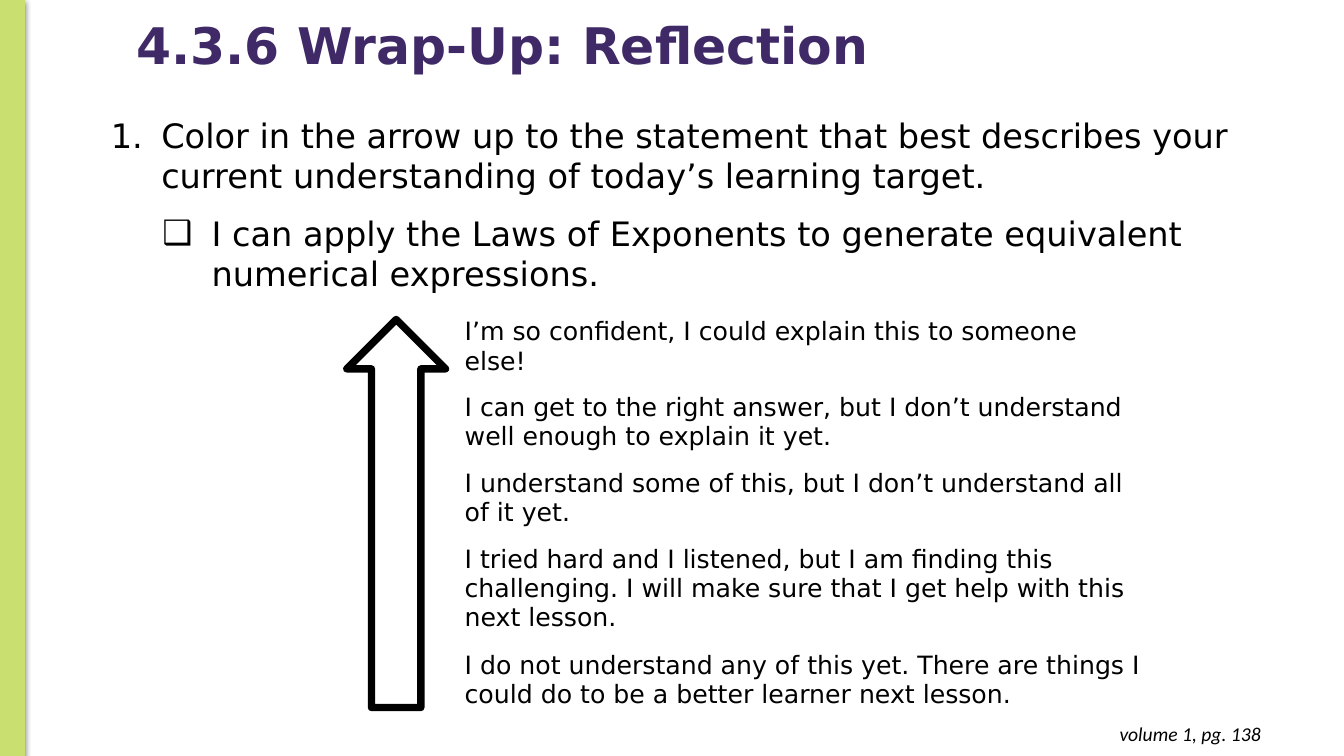
from dataclasses import dataclass

from lxml import etree
from pptx import Presentation
from pptx.dml.color import RGBColor
from pptx.enum.shapes import MSO_SHAPE
from pptx.enum.text import MSO_ANCHOR, MSO_AUTO_SIZE, PP_ALIGN
from pptx.oxml import parse_xml
from pptx.oxml.ns import nsdecls, qn
from pptx.util import Cm, Pt

RECT, ARROW = MSO_SHAPE.RECTANGLE, MSO_SHAPE.UP_ARROW
MIDDLE, TOP = MSO_ANCHOR.MIDDLE, MSO_ANCHOR.TOP
LEFT, RIGHT = PP_ALIGN.LEFT, PP_ALIGN.RIGHT
FIXED = MSO_AUTO_SIZE.NONE


@dataclass(frozen=True)
class Theme:
    ink: RGBColor = RGBColor(0, 0, 0)
    purple: RGBColor = RGBColor(0x3F, 0x2A, 0x67)
    lime: RGBColor = RGBColor(0xC9, 0xDF, 0x6F)
    sans: str = "DejaVu Sans"
    note: str = "Calibri"
    head: Pt = Pt(36)
    body: Pt = Pt(24)
    cell: Pt = Pt(18)
    foot: Pt = Pt(14)


THEME = Theme()

TASKS = [
    ("Color in the arrow up to the statement that best describes your "
     "current understanding of today’s learning target.",
     '<a:buFont {}typeface="+mj-lt"/>', '<a:buAutoNum {}type="arabicPeriod"/>',
     Cm(1.27), Cm(-1.27), Pt(12)),
    ("I can apply the Laws of Exponents to generate equivalent "
     "numerical expressions.",
     '<a:buFont {}typeface="DejaVu Sans"/>', '<a:buChar {}char="❑"/>',
     Cm(2.54), Cm(-1.24), Pt(0)),
]

LEVELS = [
    ("I’m so confident, I could explain this to someone else!", 1.91),
    ("I can get to the right answer, but I don’t understand well enough "
     "to explain it yet.", 1.91),
    ("I understand some of this, but I don’t understand all of it yet.", 1.91),
    ("I tried hard and I listened, but I am finding this challenging. "
     "I will make sure that I get help with this next lesson.", 2.67),
    ("I do not understand any of this yet. There are things I could do "
     "to be a better learner next lesson.", 1.91),
]


def place(shape, left, top, width, height):
    shape.left, shape.top = Cm(left), Cm(top)
    shape.width, shape.height = Cm(width), Cm(height)


def style(para, size, color=THEME.ink, face=THEME.sans, bold=False, slant=False):
    font = para.font
    font.name, font.size = face, size
    font.bold, font.italic = bold, slant
    font.color.rgb = color


def pad(box, left, top, right, bottom):
    box.margin_left, box.margin_top = Cm(left), Cm(top)
    box.margin_right, box.margin_bottom = Cm(right), Cm(bottom)


def add_bar(slide):
    """Draw the side band with its soft shadow."""
    bar = slide.shapes.add_shape(RECT, Cm(0), Cm(0), Cm(0.61), Cm(19.05))
    bar.fill.solid()
    bar.fill.fore_color.rgb = THEME.lime
    bar.line.color.rgb = THEME.lime
    bar.line.width = Pt(0.75)
    bar.shadow.inherit = False
    glow = bar.element.spPr.find(qn("a:effectLst"))
    glow.append(parse_xml(
        f'<a:outerShdw {nsdecls("a")} blurRad="{Pt(4.5)}" dist="{Pt(1.5)}" '
        'dir="5400000" rotWithShape="0"><a:srgbClr val="000000">'
        '<a:alpha val="50000"/></a:srgbClr></a:outerShdw>'))


def set_title(title):
    place(title, 3.18, 0.43, 22.28, 1.57)
    frame = title.text_frame
    frame.text = "4.3.6 Wrap-Up: Reflection"
    frame.auto_size = FIXED
    frame.vertical_anchor = MIDDLE
    para = frame.paragraphs[0]
    para.alignment = LEFT
    para.line_spacing = 0.9
    style(para, THEME.head, THEME.purple, bold=True)


def set_mark(para, face, mark, margin, indent):
    """Give a paragraph its list mark and hanging indent."""
    props = para._p.get_or_add_pPr()
    props.set("marL", str(margin))
    props.set("indent", str(indent))
    space = nsdecls("a") + " "
    color = f'<a:buClr {space}><a:srgbClr val="{THEME.ink}"/></a:buClr>'
    for part in (color, face.format(space), mark.format(space)):
        props.append(parse_xml(part))


def set_tasks(body):
    place(body, 2.54, 2.77, 29.21, 4.78)
    frame = body.text_frame
    frame.text = "\n".join(task[0] for task in TASKS)
    frame.auto_size = FIXED
    frame.vertical_anchor = TOP
    for para, (_, face, mark, margin, indent, after) in zip(frame.paragraphs, TASKS):
        set_mark(para, face, mark, margin, indent)
        para.space_before = Pt(0)
        para.space_after = after
        style(para, THEME.body)


def add_levels(slide):
    """Add the table of statements beside the arrow."""
    high = sum(size for _, size in LEVELS)
    grid = slide.shapes.add_table(
        len(LEVELS), 2, Cm(8.74), Cm(8), Cm(20.32), Cm(high)).table
    grid.first_row = grid.horz_banding = False
    grid.columns[0].width, grid.columns[1].width = Cm(2.79), Cm(17.53)
    for row, (text, size) in zip(grid.rows, LEVELS):
        row.height = Cm(size)
        for cell in row.cells:
            cell.fill.background()
        cell = row.cells[1]
        cell.text = text
        pad(cell, 0.18, 0, 0.18, 0.38)
        style(cell.text_frame.paragraphs[0], THEME.cell)


def add_arrow(slide):
    arrow = slide.shapes.add_shape(ARROW, Cm(8.74), Cm(8.05), Cm(2.49), Cm(9.78))
    arrow.fill.background()
    arrow.line.color.rgb = THEME.ink
    arrow.line.width = Pt(5.25)
    arrow.shadow.inherit = False
    etree.SubElement(arrow.line._ln, qn("a:round"))


def add_note(slide):
    box = slide.shapes.add_textbox(Cm(24.71), Cm(17.93), Cm(7.32), Cm(1.12))
    frame = box.text_frame
    frame.word_wrap = True
    pad(frame, 0.25, 0.25, 0.25, 0.25)
    frame.text = "volume 1, pg. 138"
    para = frame.paragraphs[0]
    para.alignment = RIGHT
    style(para, THEME.foot, face=THEME.note, slant=True)


def main():
    deck = Presentation()
    deck.slide_width, deck.slide_height = Cm(33.87), Cm(19.05)
    slide = deck.slides.add_slide(deck.slide_layouts[1])
    add_bar(slide)
    add_note(slide)
    set_title(slide.shapes.title)
    set_tasks(slide.placeholders[1])
    add_levels(slide)
    add_arrow(slide)
    deck.save("out.pptx")


if __name__ == "__main__":
    main()
